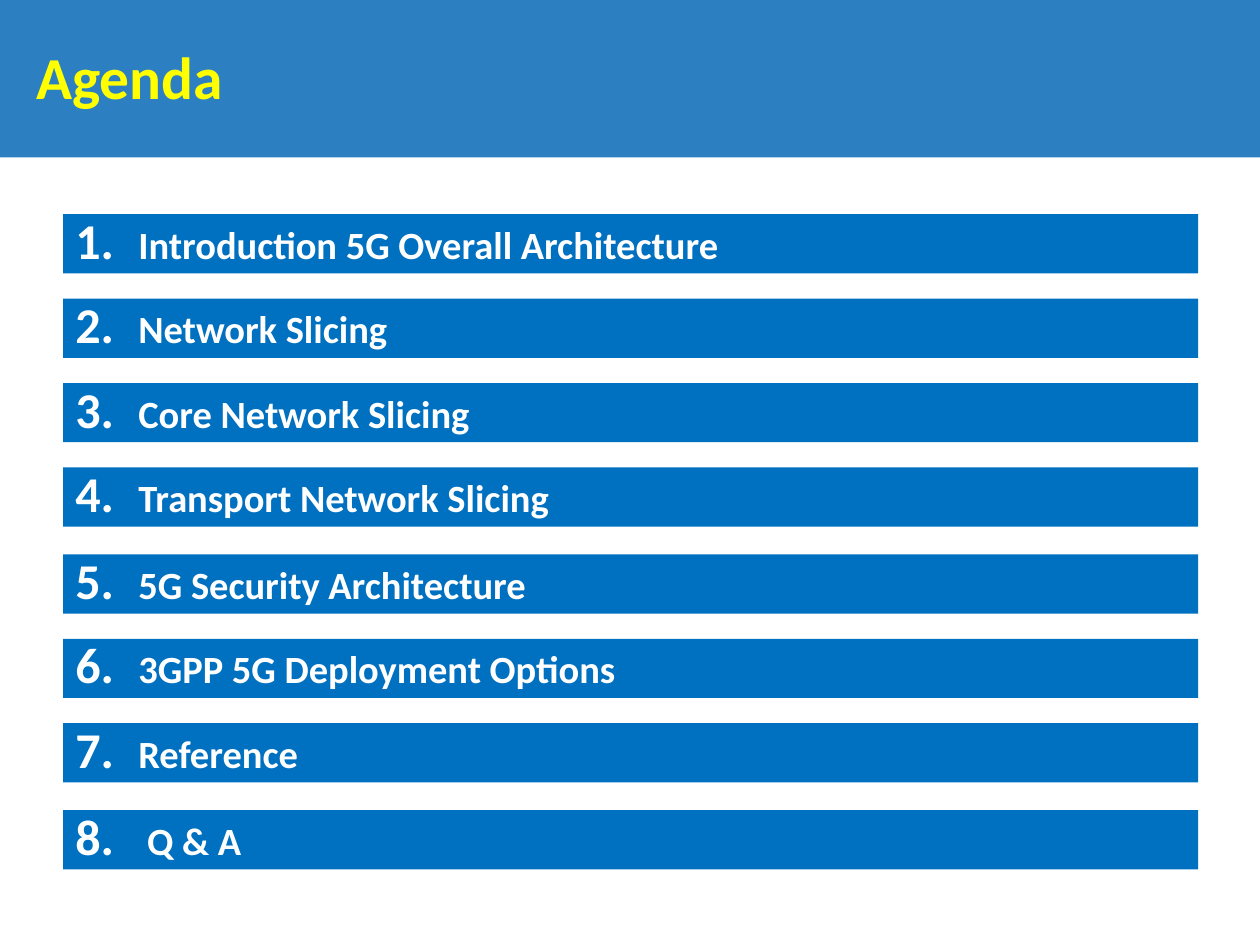
from dataclasses import dataclass

from lxml import etree
from pptx import Presentation
from pptx import util as u
from pptx.dml.color import RGBColor
from pptx.enum import shapes, text
from pptx.oxml.ns import qn

HEADER_BLUE = RGBColor(0x2C, 0x80, 0xC2)
BAR_BLUE = RGBColor(0x00, 0x70, 0xC0)
WHITE = RGBColor(0xFF, 0xFF, 0xFF)
YELLOW = RGBColor(0xFF, 0xFF, 0x00)
FONT = "Calibri"


@dataclass(frozen=True)
class AgendaItem:
    top: float
    title: str


AGENDA = [
    AgendaItem(1.70, "Introduction 5G Overall Architecture"),
    AgendaItem(2.37, "Network Slicing"),
    AgendaItem(3.04, "Core Network Slicing"),
    AgendaItem(3.71, "Transport Network Slicing"),
    AgendaItem(4.40, "5G Security Architecture"),
    AgendaItem(5.07, "3GPP 5G Deployment Options"),
    AgendaItem(5.74, "Reference"),
    AgendaItem(6.43, " Q & A"),
]


def write(box, wording: str, *, size: float, color: RGBColor, spacing: float = 1.0):
    frame = box.text_frame
    frame.word_wrap = True
    frame.vertical_anchor = text.MSO_ANCHOR.MIDDLE
    para = frame.paragraphs[0]
    para.alignment = text.PP_ALIGN.LEFT
    para.line_spacing = spacing
    span = para.add_run()
    span.text = wording
    span.font.name = FONT
    span.font.size = u.Pt(size)
    span.font.bold = True
    span.font.color.rgb = color
    return para


def number_paragraph(para, number: int) -> None:
    indent = u.Inches(0.5)
    properties = para._p.get_or_add_pPr()
    properties.set("marL", str(indent))
    properties.set("indent", str(-indent))
    etree.SubElement(properties, qn("a:buSzPct"), val="130000")
    etree.SubElement(properties, qn("a:buFont"), typeface="+mj-lt")
    etree.SubElement(
        properties, qn("a:buAutoNum"), type="arabicPeriod", startAt=str(number)
    )


def add_bar(page, left: float, top: float, width: float, height: float, color: RGBColor):
    bar = page.shapes.add_shape(
        shapes.MSO_SHAPE.RECTANGLE,
        u.Inches(left), u.Inches(top), u.Inches(width), u.Inches(height),
    )
    bar.shadow.inherit = False
    bar.fill.solid()
    bar.fill.fore_color.rgb = color
    bar.line.fill.background()
    return bar


def add_agenda_item(page, number: int, item: AgendaItem) -> None:
    bar = add_bar(page, 0.5, item.top, 9.01, 0.47, BAR_BLUE)
    para = write(bar, item.title, size=22, color=WHITE)
    number_paragraph(para, number)


def main() -> None:
    deck = Presentation()
    deck.slide_width, deck.slide_height = u.Inches(10), u.Inches(7.5)
    page = deck.slides.add_slide(deck.slide_layouts[6])

    add_bar(page, 0, 0, 10, 1.25, HEADER_BLUE)
    heading = page.shapes.add_textbox(
        u.Inches(0.19), u.Inches(0.33), u.Inches(8.21), u.Inches(0.62)
    )
    write(heading, "Agenda", size=34, color=YELLOW, spacing=0.9)

    for number, item in enumerate(AGENDA, start=1):
        add_agenda_item(page, number, item)

    deck.save("out.pptx")


if __name__ == "__main__":
    main()
